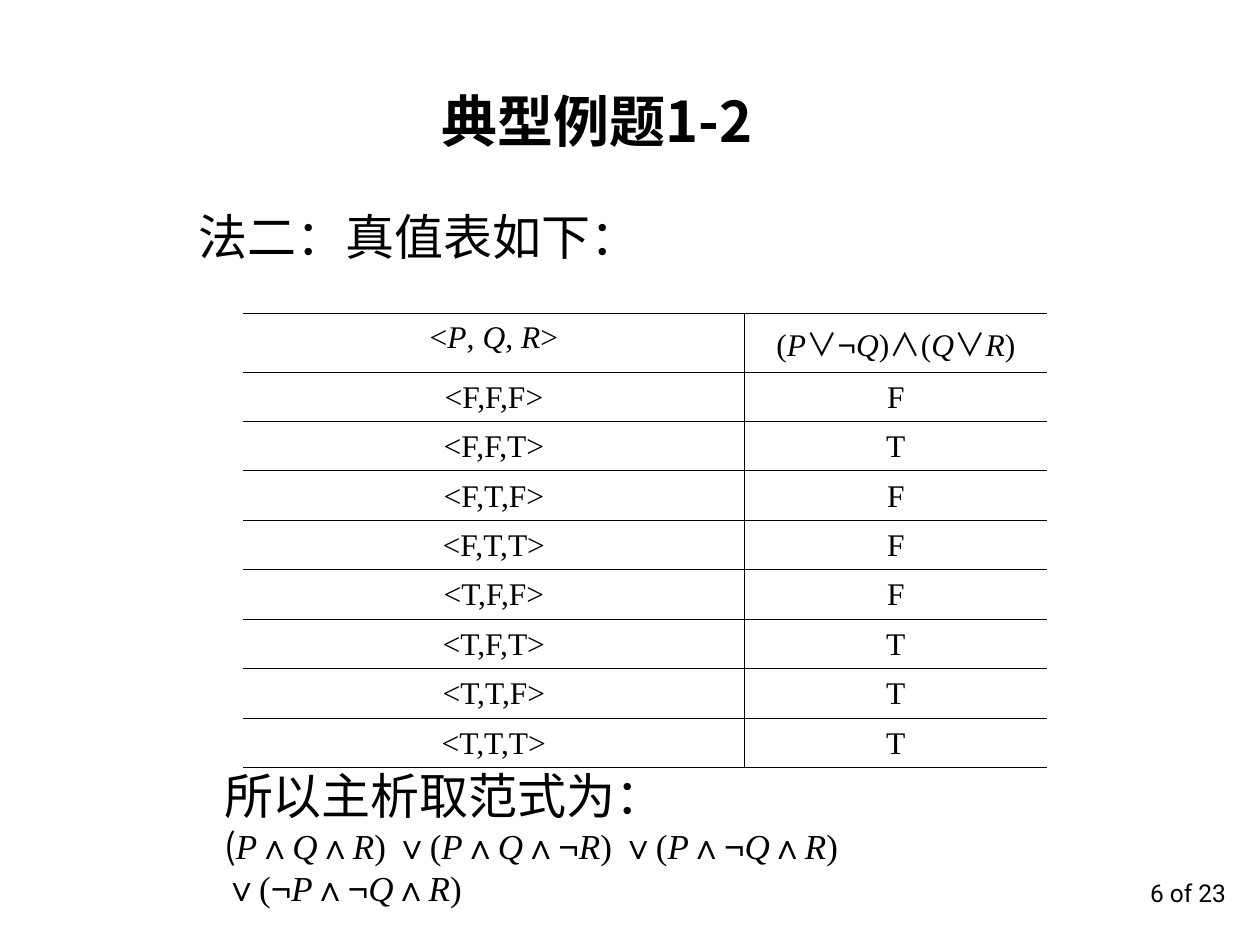
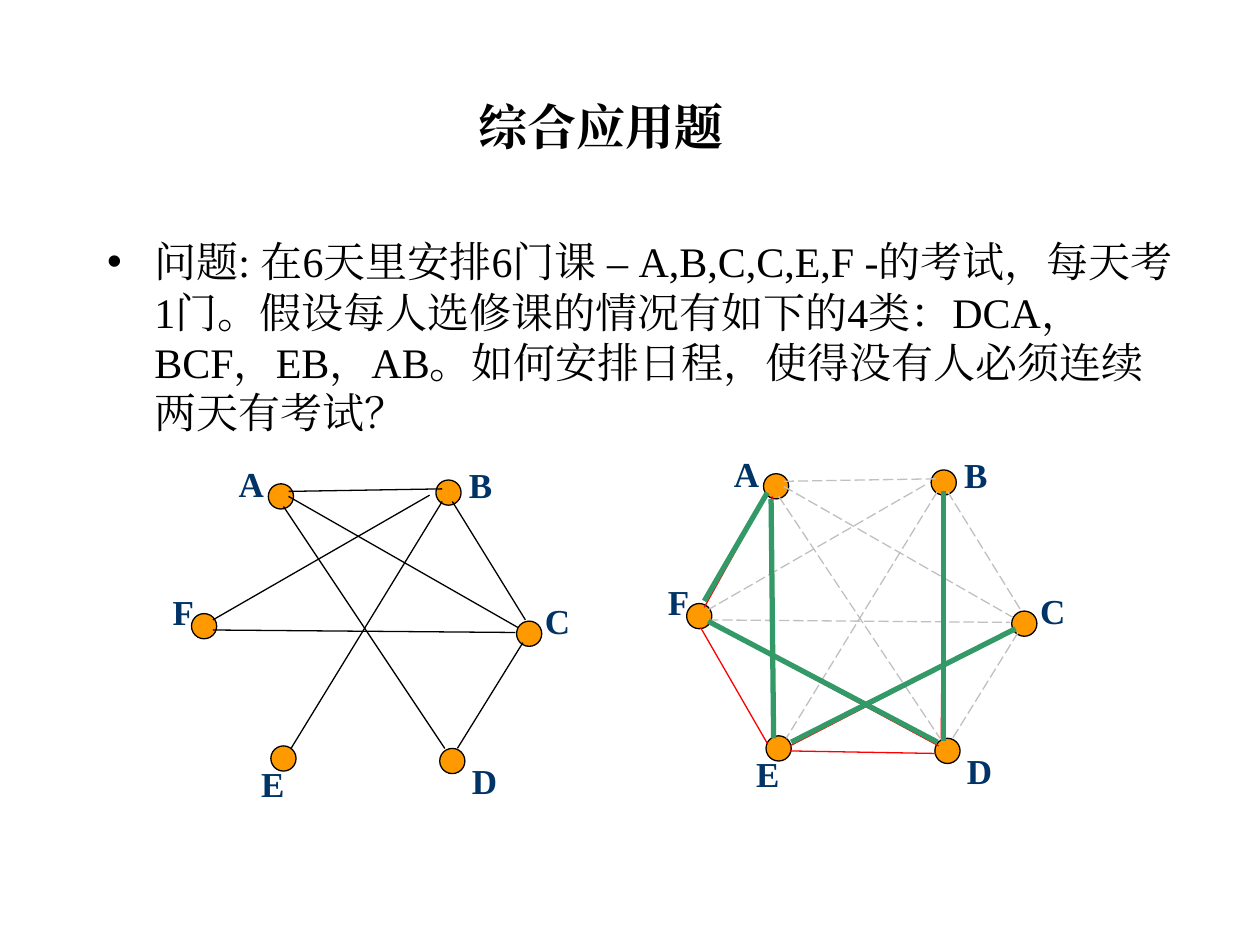
"""Build two discrete-mathematics slides: a truth table and an exam schedule graph."""
from dataclasses import dataclass
from itertools import groupby
from typing import NamedTuple, Optional

from lxml import etree
from pptx import Presentation
from pptx import util as u
from pptx.dml.color import RGBColor
from pptx.enum import dml, shapes, text
from pptx.oxml import ns


@dataclass(frozen=True)
class Theme:
    """Colours, faces and type sizes of the deck."""
    ink: str = "000000"
    label: str = "003366"
    node: str = "FF9900"
    faded: str = "C0C0C0"
    complement: str = "FF0000"
    route: str = "339966"
    serif: str = "Times New Roman"
    chinese: str = "Noto Sans CJK SC"
    symbol: str = "Arial"
    footer_face: str = "Roboto"
    title_size: float = 32
    heading_size: float = 28
    body_size: float = 24
    formula_size: float = 20
    table_size: float = 18
    footer_size: float = 14
    thin: float = 0.75
    thick: float = 3
    border: float = 0.45


class Box(NamedTuple):
    """Left, top, width and height in inches."""
    left: float
    top: float
    width: float
    height: float

    def lengths(self) -> list:
        """Return the four values as lengths."""
        return [u.Inches(value) for value in self]


class Edge(NamedTuple):
    """Start and end of a line in inches."""
    x1: float
    y1: float
    x2: float
    y2: float


class Node(NamedTuple):
    """A vertex with the corners of its dot and its label."""
    name: str
    x: float
    y: float
    label_x: float
    label_y: float


THEME = Theme()
SECOND_GRAPH = (3.93, -0.08)
DOT = 0.2
TRUTH_VALUES = "FTFFFTTT"
NODES = [
    Node("A", 2.13, 3.84, 1.76, 3.62),
    Node("B", 3.46, 3.81, 3.58, 3.63),
    Node("C", 4.1, 4.93, 4.19, 4.71),
    Node("D", 3.49, 5.94, 3.61, 5.98),
    Node("E", 2.15, 5.92, 1.93, 6),
    Node("F", 1.52, 4.87, 1.22, 4.64),
]
CONFLICTS = [
    Edge(2.25, 4.02, 3.53, 5.94),
    Edge(2.29, 3.94, 4.11, 4.98),
    Edge(4.15, 5.1, 3.63, 5.94),
    Edge(3.59, 3.98, 4.17, 4.92),
    Edge(3.41, 3.93, 1.69, 4.92),
    Edge(1.69, 5, 4.09, 5.02),
    Edge(3.51, 3.98, 2.31, 5.94),
    Edge(2.29, 3.9, 3.51, 3.88),
]
COMPLEMENT = [
    Edge(6.09, 3.92, 5.59, 4.82),
    Edge(6.13, 3.94, 6.15, 5.84),
    Edge(7.49, 3.92, 7.47, 5.86),
    Edge(8.05, 5, 6.27, 5.92),
    Edge(5.63, 4.94, 7.45, 5.92),
    Edge(6.27, 5.96, 7.43, 5.98),
    Edge(5.56, 4.98, 6.09, 5.9),
]
ROUTE = [
    Edge(7.49, 3.9, 7.49, 5.88),
    Edge(5.62, 4.93, 7.44, 5.89),
    Edge(5.59, 4.77, 6.09, 3.91),
    Edge(6.12, 3.96, 6.14, 5.86),
    Edge(6.28, 5.89, 8.06, 4.99),
]


def add_text(paragraph, content: str, *, size: float, face: str = THEME.serif,
             color: str = THEME.ink, bold: bool = False, italic: bool = False,
             align: text.PP_ALIGN = text.PP_ALIGN.LEFT, spacing=None) -> None:
    """Append a formatted run to a paragraph."""
    paragraph.alignment = align
    paragraph.space_before = u.Pt(0)
    if spacing is not None:
        paragraph.line_spacing = spacing
    run = paragraph.add_run()
    run.text = content
    font = run.font
    font.size, font.bold, font.italic = u.Pt(size), bold, italic
    font.color.rgb = RGBColor.from_string(color)
    font.name = face
    east_asian = etree.SubElement(font._element, ns.qn("a:ea"))
    east_asian.set("typeface", face)


def add_formula(paragraph, formula: str, *, operator_face: str = THEME.serif, **style) -> None:
    """Append a logic formula with italic variables and symbol faces."""
    def look(character: str) -> tuple:
        """Return the face and slant of one character."""
        if character == "¬":
            return THEME.symbol, False
        if character in "∨∧":
            return operator_face, False
        return THEME.serif, character in "PQR"

    for (face, italic), characters in groupby(formula, look):
        add_text(paragraph, "".join(characters), face=face, italic=italic, **style)


def prepare_frame(shape, anchor: text.MSO_ANCHOR = text.MSO_ANCHOR.TOP):
    """Set wrapping and anchoring, and return the first paragraph."""
    frame = shape.text_frame
    frame.word_wrap = True
    frame.auto_size = text.MSO_AUTO_SIZE.NONE
    frame.vertical_anchor = anchor
    return frame.paragraphs[0]


def add_box(slide, box: Box, anchor: text.MSO_ANCHOR = text.MSO_ANCHOR.TOP):
    """Add a text box and return its first paragraph."""
    return prepare_frame(slide.shapes.add_textbox(*box.lengths()), anchor)


def fill_placeholder(placeholder, box: Box, content: str, **style) -> None:
    """Move a placeholder and write its text."""
    placeholder.left, placeholder.top, placeholder.width, placeholder.height = box.lengths()
    add_text(prepare_frame(placeholder), content, **style)


def add_title(slide, box: Box, content: str, **style) -> None:
    """Write the bold centred slide title."""
    fill_placeholder(slide.shapes.title, box, content, bold=True,
                     align=text.PP_ALIGN.CENTER, **style)


def set_borders(cell, **visible: bool) -> None:
    """Draw or clear each named cell border, given in schema order."""
    properties = cell._tc.get_or_add_tcPr()
    for position, (tag, shown) in enumerate(visible.items()):
        line = etree.Element(ns.qn(f"a:{tag}"), w=str(u.Pt(THEME.border)))
        if shown:
            fill = etree.SubElement(line, ns.qn("a:solidFill"))
            etree.SubElement(fill, ns.qn("a:srgbClr"), val=THEME.ink)
        else:
            etree.SubElement(line, ns.qn("a:noFill"))
        properties.insert(position, line)


def add_truth_table(slide) -> None:
    """Add the truth table of the formula."""
    row_total = len(TRUTH_VALUES) + 1
    frame = slide.shapes.add_table(row_total, 2, *Box(1.93, 2.49, 6.38, 3.44).lengths())
    table = frame.table
    table.first_row = table.horz_banding = False
    for column, width in zip(table.columns, (3.98, 2.4)):
        column.width = u.Inches(width)
    for index, row in enumerate(table.rows):
        row.height = u.Inches(0.37 if index else 0.45)
    style = {"size": THEME.table_size, "align": text.PP_ALIGN.CENTER}
    add_formula(table.cell(0, 0).text_frame.paragraphs[0], "<P, Q, R>", **style)
    add_formula(table.cell(0, 1).text_frame.paragraphs[0], "(P∨¬Q)∧(Q∨R)",
                operator_face=THEME.chinese, **style)
    for index, value in enumerate(TRUTH_VALUES):
        assignment = ",".join("FT"[int(bit)] for bit in f"{index:03b}")
        for column, content in enumerate((f"<{assignment}>", value)):
            add_text(table.cell(index + 1, column).text_frame.paragraphs[0], content,
                     spacing=u.Pt(21), **style)
    for index in range(row_total):
        for column in range(2):
            cell = table.cell(index, column)
            cell.margin_left = cell.margin_right = u.Inches(0.07)
            cell.fill.background()
            set_borders(cell, lnL=column == 1, lnR=column == 0, lnT=True, lnB=True)


def add_line(slide, edge: Edge, color: str, width: float = THEME.thin,
             dash: Optional[dml.MSO_LINE] = None) -> None:
    """Add a straight line without a shadow."""
    connector = slide.shapes.add_connector(
        shapes.MSO_CONNECTOR.STRAIGHT, *(u.Inches(value) for value in edge))
    connector.line.color.rgb = RGBColor.from_string(color)
    connector.line.width = u.Pt(width)
    if dash is not None:
        connector.line.dash_style = dash
    etree.SubElement(connector._element.spPr, ns.qn("a:effectLst"))


def add_graph(slide, dx: float, dy: float, color: str,
              dash: Optional[dml.MSO_LINE] = None) -> None:
    """Add the conflict graph, moved by the given offset."""
    for node in NODES:
        dot = slide.shapes.add_shape(shapes.MSO_SHAPE.OVAL,
                                     *Box(node.x + dx, node.y + dy, DOT, DOT).lengths())
        dot.shadow.inherit = False
        dot.fill.solid()
        dot.fill.fore_color.rgb = RGBColor.from_string(THEME.node)
        dot.line.color.rgb = RGBColor.from_string(THEME.ink)
        dot.line.width = u.Pt(THEME.thin)
    for node in NODES:
        label = add_box(slide, Box(node.label_x + dx, node.label_y + dy, 0.47, 0.44))
        add_text(label, node.name, size=THEME.formula_size, color=THEME.label,
                 bold=True, align=text.PP_ALIGN.CENTER)
    for x1, y1, x2, y2 in CONFLICTS:
        add_line(slide, Edge(x1 + dx, y1 + dy, x2 + dx, y2 + dy), color, dash=dash)


def build_truth_table_slide(presentation) -> None:
    """Build the slide that solves the example with a truth table."""
    slide = presentation.slides.add_slide(presentation.slide_layouts[5])
    add_title(slide, Box(0.98, 0.64, 7.52, 0.64), "典型例题1-2",
              size=THEME.title_size, face=THEME.chinese)
    add_text(add_box(slide, Box(7.75, 6.92, 2.08, 0.5)), "6 of 23", size=THEME.footer_size,
             face=THEME.footer_face, align=text.PP_ALIGN.RIGHT)
    add_truth_table(slide)
    method = add_box(slide, Box(1.48, 1.59, 3.89, 0.57), text.MSO_ANCHOR.MIDDLE)
    add_text(method, "法二：真值表如下：", size=THEME.heading_size, face=THEME.chinese)
    result = slide.shapes.add_textbox(*Box(1.68, 6.19, 6.35, 0.9).lengths())
    add_text(prepare_frame(result, text.MSO_ANCHOR.MIDDLE), "所以主析取范式为：",
             size=THEME.heading_size, face=THEME.chinese)
    normal_form = result.text_frame.add_paragraph()
    add_text(normal_form, "(", size=THEME.formula_size, face=THEME.chinese)
    add_formula(normal_form, "P∧Q∧R) ∨(P∧Q∧¬R) ∨(P∧¬Q∧R) ∨(¬P∧¬Q∧R)",
                size=THEME.formula_size)


def build_schedule_slide(presentation) -> None:
    """Build the slide with the exam schedule problem and its graphs."""
    slide = presentation.slides.add_slide(presentation.slide_layouts[1])
    add_title(slide, Box(1.74, 0.48, 6.06, 0.8), "综合应用题",
              size=THEME.heading_size, spacing=1.5)
    fill_placeholder(
        slide.placeholders[1], Box(0.75, 1.82, 8.75, 4.08),
        "问题: 在6天里安排6门课 – A,B,C,C,E,F -的考试，每天考1门。"
        "假设每人选修课的情况有如下的4类：DCA，BCF，EB，AB。"
        "如何安排日程，使得没有人必须连续两天有考试？", size=THEME.body_size)
    add_graph(slide, 0, 0, THEME.ink)
    add_graph(slide, *SECOND_GRAPH, THEME.faded, dml.MSO_LINE.LONG_DASH)
    for edge in COMPLEMENT:
        add_line(slide, edge, THEME.complement)
    for edge in ROUTE:
        add_line(slide, edge, THEME.route, THEME.thick)


def main() -> None:
    """Create and save the presentation."""
    presentation = Presentation()
    presentation.slide_width, presentation.slide_height = u.Inches(10), u.Inches(7.5)
    build_truth_table_slide(presentation)
    build_schedule_slide(presentation)
    presentation.save("out.pptx")


if __name__ == "__main__":
    main()
